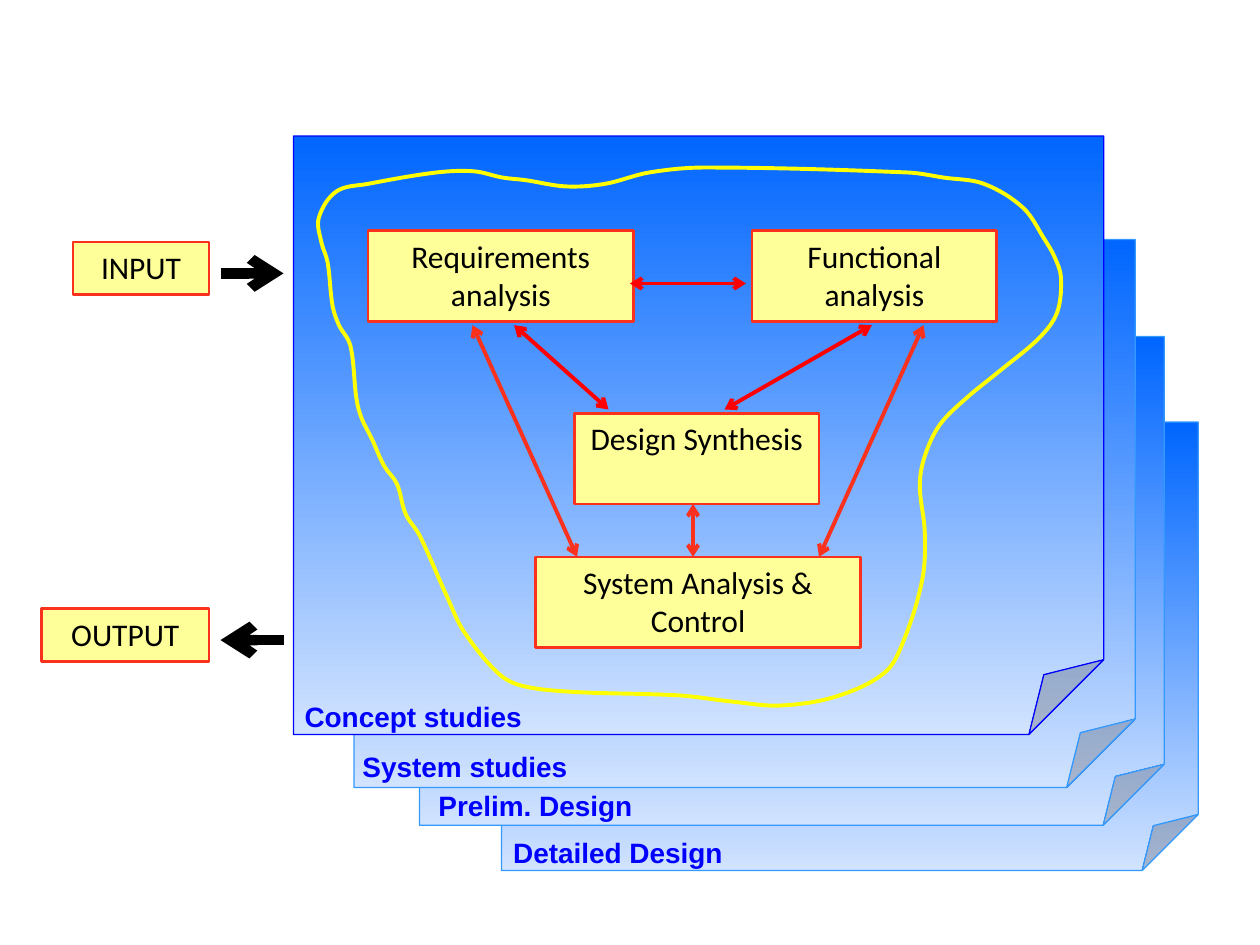
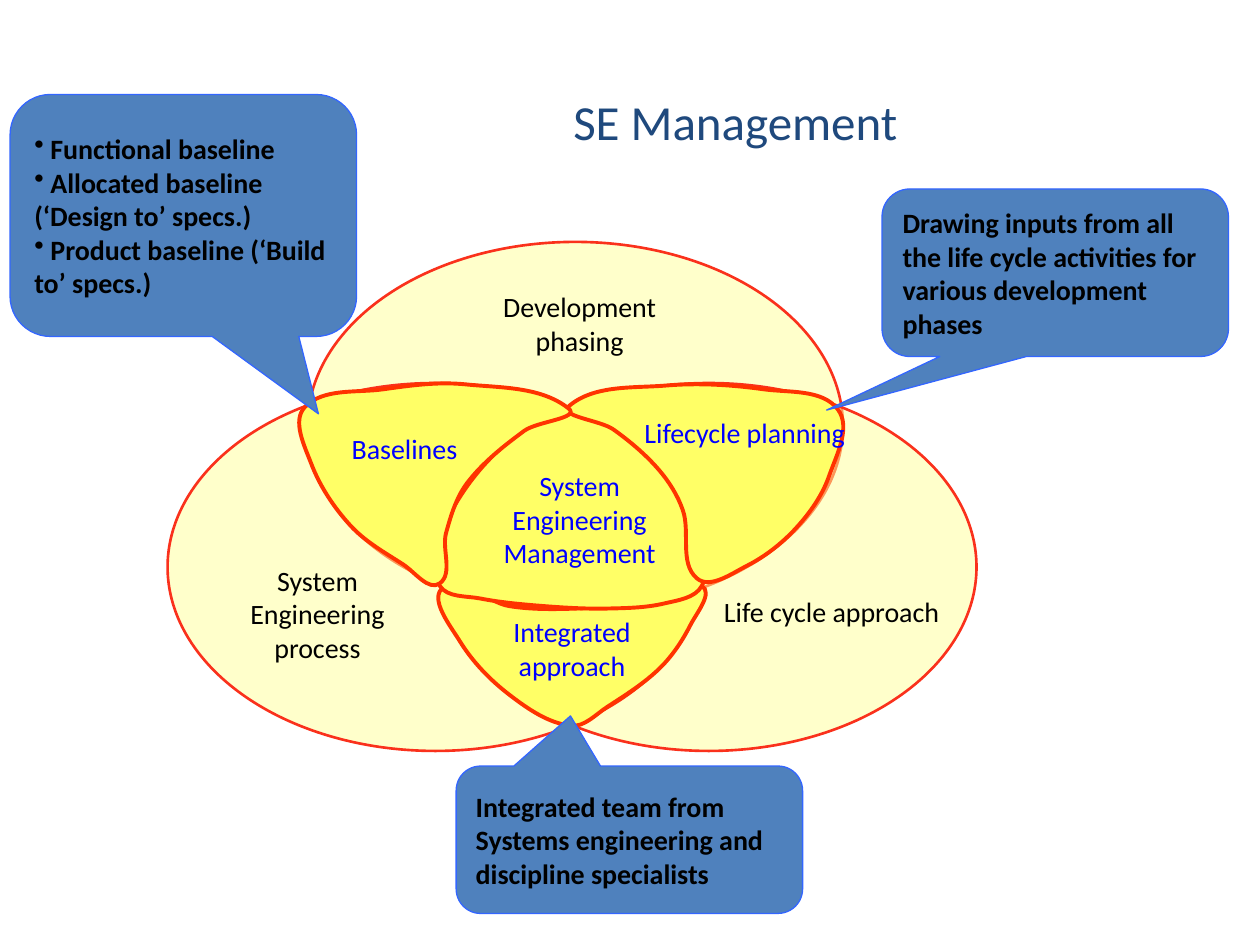
from math import dist
from dataclasses import dataclass

from lxml.etree import SubElement
from pptx import Presentation
from pptx.dml.color import RGBColor
from pptx.enum.shapes import MSO_CONNECTOR, MSO_SHAPE
from pptx.enum.text import MSO_ANCHOR, PP_ALIGN
from pptx.oxml.ns import qn
from pptx.util import Inches, Pt


@dataclass(frozen=True)
class Theme:
    body_font: str = "Calibri"
    sheet_font: str = "Arial"
    title_size: int = 28
    box_size: int = 18
    label_size: int = 16
    black: str = "000000"
    blue: str = "0000FF"
    title: str = "1F497D"
    sheet_top: str = "0066FF"
    sheet_bottom: str = "D1E3FF"
    sheet_edge: str = "3399FF"
    pale_yellow: str = "FFFF99"
    petal: str = "FFFF66"
    petal_edge: str = "FF3300"
    red: str = "FA311C"
    bright_red: str = "FF0000"
    loop: str = "FFFF00"
    callout: str = "4F81BD"
    callout_edge: str = "3366FF"
    thin: float = 0.75
    medium: float = 1.5
    thick: float = 2.25
    heavy: float = 6


THEME = Theme()

PROCESS_LOOP = [
    (2.55, 1.92), (2.53, 1.73), (2.67, 1.52), (2.92, 1.46), (3.46, 1.37),
    (3.76, 1.36), (3.99, 1.41), (4.17, 1.43), (4.49, 1.48), (4.8, 1.46),
    (5.15, 1.37), (5.59, 1.33), (7.21, 1.37), (7.49, 1.41), (7.81, 1.46),
    (8.12, 1.65), (8.29, 1.9), (8.37, 2.04), (8.42, 2.2), (8.39, 2.48),
    (8.25, 2.68), (7.94, 2.94), (7.67, 3.16), (7.46, 3.37), (7.34, 3.62),
    (7.3, 3.85), (7.34, 4.23), (7.32, 4.6), (7.17, 5.09), (7.02, 5.34),
    (6.63, 5.53), (6.19, 5.6), (5.82, 5.57), (5.39, 5.52), (4.52, 5.49),
    (4.13, 5.44), (3.95, 5.34), (3.68, 5.01), (3.55, 4.74), (3.33, 4.25),
    (3.22, 4.08), (3.15, 3.84), (3.05, 3.7), (2.95, 3.48), (2.87, 3.32),
    (2.83, 3.17), (2.78, 2.74), (2.69, 2.58), (2.64, 2.43), (2.6, 2.08),
]
INTEGRATED_PETAL = [
    (3.65, 5.09), (3.52, 4.66), (4.04, 4.81), (4.57, 4.83), (5.17, 4.77),
    (5.57, 4.65), (5.48, 4.96), (5.24, 5.3), (4.82, 5.61), (4.53, 5.76),
    (4.05, 5.52),
]
CENTRE_PETAL = [
    (3.49, 4.65), (3.49, 4.25), (3.93, 3.6), (4.53, 3.25), (5.2, 3.67),
    (5.56, 4.24), (5.57, 4.65), (5.27, 4.79), (4.81, 4.83), (4.31, 4.81),
    (3.81, 4.75),
]
LIFECYCLE_PETAL = [
    (5.23, 3.73), (4.87, 3.41), (4.52, 3.22), (5.29, 3.06), (6.06, 3.09),
    (6.65, 3.25), (6.58, 3.78), (6.32, 4.19), (5.93, 4.49), (5.53, 4.59),
    (5.42, 4.05),
]
BASELINES_PETAL = [
    (2.47, 3.68), (2.42, 3.23), (3.04, 3.09), (3.69, 3.05), (4.51, 3.24),
    (4.16, 3.42), (3.71, 3.83), (3.54, 4.23), (3.49, 4.63), (3.2, 4.48),
    (2.78, 4.17),
]


def colour(value):
    return RGBColor.from_string(value)


def set_line(shape, line_colour, width):
    shape.line.color.rgb = colour(line_colour)
    shape.line.width = Pt(width)


def write_text(shape, text, size, text_colour=THEME.black, font=THEME.body_font,
               bold=False, align=PP_ALIGN.CENTER, anchor=MSO_ANCHOR.TOP):
    frame = shape.text_frame
    frame.text = text
    frame.word_wrap = True
    frame.vertical_anchor = anchor
    for paragraph in frame.paragraphs:
        paragraph.alignment = align
        for run in paragraph.runs:
            run.font.name = font
            run.font.size = Pt(size)
            run.font.bold = bold
            run.font.color.rgb = colour(text_colour)


def add_label(shapes, place, text, size=THEME.label_size, **style):
    box = shapes.add_textbox(*map(Inches, place))
    write_text(box, text, size, **style)


def add_filled(slide, kind, place, fill, edge, width):
    shape = slide.shapes.add_shape(kind, *map(Inches, place))
    shape.shadow.inherit = False
    shape.fill.solid()
    shape.fill.fore_color.rgb = colour(fill)
    set_line(shape, edge, width)
    return shape


def add_box(slide, place, text):
    box = add_filled(slide, MSO_SHAPE.RECTANGLE, place, THEME.pale_yellow,
                     THEME.red, THEME.medium)
    write_text(box, text, THEME.box_size)


def add_sheet(slide, place, edge):
    sheet = slide.shapes.add_shape(MSO_SHAPE.FOLDED_CORNER, *map(Inches, place))
    sheet.shadow.inherit = False
    guides = next(sheet.element.iter(qn("a:avLst")))
    SubElement(guides, qn("a:gd"), name="adj", fmla="val 12500")
    sheet.fill.gradient()
    sheet.fill.gradient_angle = 270
    for stop, value in zip(sheet.fill.gradient_stops,
                           (THEME.sheet_top, THEME.sheet_bottom)):
        stop.color.rgb = colour(value)
    set_line(sheet, edge, THEME.thin)


def add_arrow(slide, start, end, line_colour, width=THEME.thick,
              ends=("headEnd", "tailEnd")):
    arrow = slide.shapes.add_connector(MSO_CONNECTOR.STRAIGHT,
                                       *map(Inches, start + end))
    set_line(arrow, line_colour, width)
    properties = arrow.element.spPr
    for name in ends:
        SubElement(properties.find(qn("a:ln")), qn(f"a:{name}"), type="arrow")
    SubElement(properties, qn("a:effectLst"))


def control_point(point, before, after, neighbour):
    span = dist(before, after) or 1
    reach = dist(point, neighbour) / 3 / span
    return tuple(p + (a - b) * reach for p, a, b in zip(point, after, before))


def round_corners(shape):
    segments = list(shape.element.iter(qn("a:lnTo")))
    points = [(int(s[0].get("x")), int(s[0].get("y"))) for s in segments]
    count = len(points)
    for index, segment in enumerate(segments):
        before, start = points[index - 2], points[index - 1]
        end, after = points[index], points[(index + 1) % count]
        segment.tag = qn("a:cubicBezTo")
        segment.remove(segment[0])
        for x, y in (control_point(start, before, end, end),
                     control_point(end, after, start, start), end):
            SubElement(segment, qn("a:pt"), x=str(round(x)), y=str(round(y)))


def add_curve(shapes, points, edge, fill=None):
    corners = [(Inches(x), Inches(y)) for x, y in points]
    builder = shapes.build_freeform(*corners[0])
    builder.add_line_segments(corners[1:] + corners[:1], close=True)
    curve = builder.convert_to_shape()
    round_corners(curve)
    curve.shadow.inherit = False
    if fill:
        curve.fill.solid()
        curve.fill.fore_color.rgb = colour(fill)
    else:
        curve.fill.background()
    set_line(curve, edge, THEME.thick)


def add_petal(shapes, points, place, text):
    add_curve(shapes, points, THEME.petal_edge, THEME.petal)
    add_label(shapes, place, text, text_colour=THEME.blue)


def add_ellipse(slide, left, top):
    ellipse = add_filled(slide, MSO_SHAPE.OVAL, (left, top, 4.25, 2.92),
                         THEME.pale_yellow, THEME.red, THEME.medium)
    fill_colour = ellipse.element.spPr.find(qn("a:solidFill"))[0]
    SubElement(fill_colour, qn("a:alpha"), val="50000")


def add_callout(slide, place, pointer, text, bullets=False):
    callout = add_filled(slide, MSO_SHAPE.ROUNDED_RECTANGULAR_CALLOUT, place,
                         THEME.callout, THEME.callout_edge, THEME.thin)
    callout.adjustments[0], callout.adjustments[1] = pointer
    write_text(callout, text, THEME.label_size, bold=True,
               align=PP_ALIGN.LEFT, anchor=MSO_ANCHOR.MIDDLE)
    if bullets:
        for paragraph in callout.text_frame.paragraphs:
            properties = paragraph._p.get_or_add_pPr()
            SubElement(properties, qn("a:buChar"), char="•")


def build_process_slide(slide):
    for place, edge in [((3.98, 3.35, 5.53, 3.56), THEME.sheet_edge),
                        ((3.33, 2.67, 5.91, 3.88), THEME.sheet_edge),
                        ((2.81, 1.9, 6.2, 4.35), THEME.sheet_edge),
                        ((2.33, 1.08, 6.43, 4.75), THEME.blue)]:
        add_sheet(slide, place, edge)
    for left, top, width, text in [(2.31, 5.5, 1.94, "Concept studies"),
                                   (2.72, 5.9, 1.94, "System studies"),
                                   (3, 6.21, 2.5, "Prelim. Design"),
                                   (3.97, 6.58, 1.87, "Detailed Design")]:
        add_label(slide.shapes, (left, top, width, 0.37), text, bold=True,
                  text_colour=THEME.blue, font=THEME.sheet_font)
    for place, text in [((2.92, 1.83, 2.11, 0.72), "Requirements analysis"),
                        ((4.56, 3.28, 1.94, 0.72), "Design Synthesis"),
                        ((5.97, 1.83, 1.94, 0.72), "Functional analysis"),
                        ((4.25, 4.42, 2.58, 0.72), "System Analysis & Control"),
                        ((0.58, 1.92, 1.08, 0.42), "INPUT"),
                        ((0.33, 4.83, 1.33, 0.42), "OUTPUT")]:
        add_box(slide, place, text)
    add_curve(slide.shapes, PROCESS_LOOP, THEME.loop)
    for start, end, line_colour in [
            ((5, 2.25), (5.92, 2.25), THEME.bright_red),
            ((4.08, 2.58), (4.83, 3.25), THEME.bright_red),
            ((6.92, 2.58), (5.75, 3.25), THEME.bright_red),
            ((3.75, 2.58), (4.58, 4.42), THEME.red),
            ((5.5, 4), (5.5, 4.42), THEME.red),
            ((7.33, 2.58), (6.5, 4.42), THEME.red)]:
        add_arrow(slide, start, end, line_colour)
    for top, end in [(2.17, "tailEnd"), (5.08, "headEnd")]:
        add_arrow(slide, (1.75, top), (2.25, top), THEME.black, THEME.heavy, (end,))


def build_management_slide(slide):
    shapes = slide.shapes
    for left, top in [(2.44, 1.92), (3.5, 3.04), (1.33, 3.04)]:
        add_ellipse(slide, left, top)
    for place, text in [((3.64, 2.25, 1.92, 0.64), "Development phasing"),
                        ((1.56, 4.42, 1.92, 0.9), "System Engineering process"),
                        ((5.64, 4.67, 1.92, 0.64), "Life cycle approach")]:
        add_label(shapes, place, text)
    add_label(shapes, (1.42, 0.67, 8.83, 0.57), "SE Management", THEME.title_size,
              text_colour=THEME.title, anchor=MSO_ANCHOR.BOTTOM)
    add_petal(shapes.add_group_shape().shapes, INTEGRATED_PETAL,
              (3.58, 4.83, 1.92, 0.64), "Integrated approach")
    add_petal(shapes, CENTRE_PETAL, (3.64, 3.67, 1.92, 0.9),
              "System Engineering Management")
    add_petal(shapes.add_group_shape().shapes, LIFECYCLE_PETAL,
              (4.95, 3.25, 1.92, 0.64), "Lifecycle planning")
    add_petal(shapes.add_group_shape().shapes, BASELINES_PETAL,
              (2.25, 3.38, 1.92, 0.37), "Baselines")
    add_callout(slide, (0.08, 0.75, 2.75, 1.92), (0.39, 0.82),
                " Functional baseline\n Allocated baseline (‘Design to’ specs.)\n"
                " Product baseline (‘Build to’ specs.)", bullets=True)
    add_callout(slide, (7, 1.5, 2.75, 1.33), (-0.66, 0.82),
                "Drawing inputs from all the life cycle activities for "
                "various development phases")
    add_callout(slide, (3.62, 6.08, 2.75, 1.17), (-0.17, -0.84),
                "Integrated team from Systems engineering and discipline specialists")


def main():
    presentation = Presentation()
    presentation.slide_width = Inches(10)
    presentation.slide_height = Inches(7.5)
    blank = presentation.slide_layouts[6]
    for build in (build_process_slide, build_management_slide):
        build(presentation.slides.add_slide(blank))
    presentation.save("out.pptx")


main()
